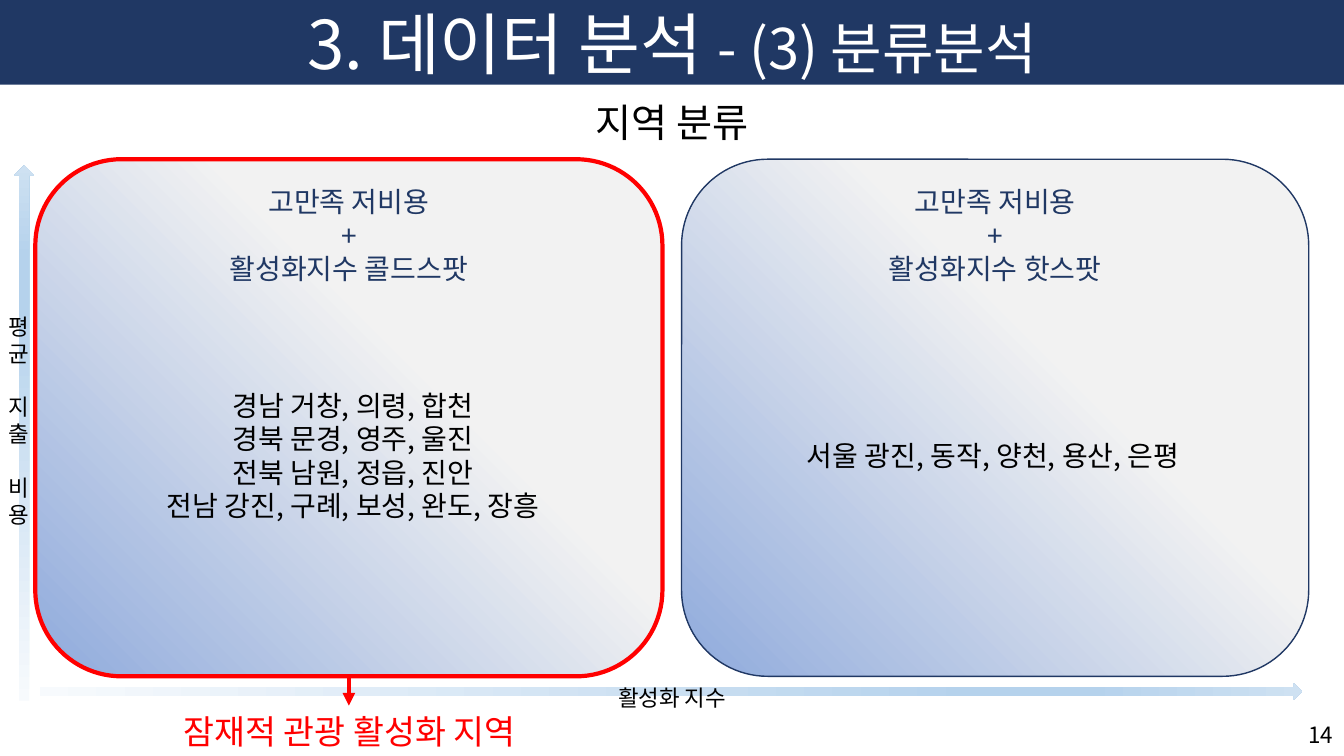
from lxml import etree
from pptx import Presentation
from pptx.dml.color import RGBColor
from pptx.enum.shapes import MSO_CONNECTOR, MSO_SHAPE
from pptx.enum.text import MSO_ANCHOR, MSO_AUTO_SIZE, PP_ALIGN
from pptx.oxml.ns import qn
from pptx.util import Inches, Pt

FONT = "Noto Sans CJK KR"
NAVY = RGBColor(0x20, 0x38, 0x64)
WHITE = RGBColor(0xFF, 0xFF, 0xFF)
BLACK = RGBColor(0, 0, 0)
RED = RGBColor(0xFF, 0, 0)
BLUE = RGBColor(0x8F, 0xAA, 0xDC)
GREY = RGBColor(0xF2, 0xF2, 0xF2)
PALE = RGBColor(0xF7, 0xFA, 0xFD)
SKY = RGBColor(0xB5, 0xD2, 0xEC)
MIST = RGBColor(0xCE, 0xE1, 0xF2)

RECTANGLE, ROUNDED = MSO_SHAPE.RECTANGLE, MSO_SHAPE.ROUNDED_RECTANGLE
UP_ARROW = MSO_SHAPE.UP_ARROW
STRAIGHT = MSO_CONNECTOR.STRAIGHT
CENTER, LEFT = PP_ALIGN.CENTER, PP_ALIGN.LEFT
TOP, MIDDLE = MSO_ANCHOR.TOP, MSO_ANCHOR.MIDDLE
FIT_SHAPE = MSO_AUTO_SIZE.SHAPE_TO_FIT_TEXT

AXIS_STOPS = [(0, PALE), (74, SKY), (83, SKY), (100, MIST)]
PANEL_STOPS = [(0, BLUE), (61, GREY)]
PANEL_TOP, PANEL_WIDTH, PANEL_HEIGHT = 1.58, 6.22, 5.13


def style_font(font, size, color):
    font.size = Pt(size)
    font.color.rgb = color
    font.name = FONT
    # East Asian glyphs take their typeface from a separate element
    etree.SubElement(font._element, qn("a:ea"), typeface=FONT)


def write_lines(frame, lines, size, color, align=CENTER):
    for index, line in enumerate(lines):
        para = frame.paragraphs[0] if index == 0 else frame.add_paragraph()
        para.text = line
        para.alignment = align
        style_font(para.font, size, color)


def add_text(page, place, lines, size, color=BLACK, align=CENTER, anchor=TOP, wrap=True):
    box = page.shapes.add_textbox(*map(Inches, place))
    frame = box.text_frame
    frame.word_wrap = wrap
    frame.auto_size = FIT_SHAPE
    frame.vertical_anchor = anchor
    write_lines(frame, lines, size, color, align)
    return box


def add_plain_shape(page, kind, place):
    shape = page.shapes.add_shape(kind, *map(Inches, place))
    shape.shadow.inherit = False
    shape.line.fill.background()
    return shape


def set_gradient(shape, stops):
    """Fill with the given stops and return the element for its direction."""
    shape.fill.gradient()
    gradient = shape._element.spPr.find(qn("a:gradFill"))
    for child in list(gradient):
        gradient.remove(child)
    gradient.set("rotWithShape", "1")
    stop_list = etree.SubElement(gradient, qn("a:gsLst"))
    for percent, color in stops:
        stop = etree.SubElement(stop_list, qn("a:gs"), pos=str(percent * 1000))
        etree.SubElement(stop, qn("a:srgbClr"), val=str(color))
    return gradient


def add_axis(page, place, rotation=0):
    arrow = add_plain_shape(page, UP_ARROW, place)
    arrow.rotation = rotation
    gradient = set_gradient(arrow, AXIS_STOPS)
    etree.SubElement(gradient, qn("a:lin"), ang=str(270 * 60000), scaled="0")


def add_panel(page, left, lines, line_color, line_width):
    panel = add_plain_shape(page, ROUNDED, (left, PANEL_TOP, PANEL_WIDTH, PANEL_HEIGHT))
    gradient = set_gradient(panel, PANEL_STOPS)
    circle = etree.SubElement(gradient, qn("a:path"), path="circle")
    etree.SubElement(circle, qn("a:fillToRect"), t="100000", r="100000")
    panel.line.color.rgb = line_color
    panel.line.width = Pt(line_width)
    frame = panel.text_frame
    frame.word_wrap = True
    frame.vertical_anchor = TOP
    frame.margin_top = 0
    write_lines(frame, lines, 20, NAVY)


def add_arrow(page, start, end, color, width):
    arrow = page.shapes.add_connector(STRAIGHT, *map(Inches, start + end))
    arrow.line.color.rgb = color
    arrow.line.width = Pt(width)
    etree.SubElement(arrow.line._get_or_add_ln(), qn("a:tailEnd"), type="triangle")
    etree.SubElement(arrow._element.spPr, qn("a:effectLst"))


def add_title(page):
    banner = add_plain_shape(page, RECTANGLE, (0, 0, 13.33, 0.84))
    banner.fill.solid()
    banner.fill.fore_color.rgb = NAVY
    title = add_text(page, (0, -0.03, 13.33, 0.91), [""], 48, WHITE)
    para = title.text_frame.paragraphs[0]
    for text, size in (("3. 데이터 분석 ", 48), ("- (3) 분류분석", 40)):
        span = para.add_run()
        span.text = text
        style_font(span.font, size, WHITE)


def main():
    deck = Presentation()
    deck.slide_width, deck.slide_height = Inches(13.33), Inches(7.5)
    page = deck.slides.add_slide(deck.slide_layouts[6])

    # Horizontal axis, heading and page number
    add_axis(page, (6.57, 0.6, 0.17, 12.52), rotation=90)
    add_title(page)
    add_text(page, (12.88, 7.11, 0.45, 0.37), ["14"], 16, align=LEFT, wrap=False)
    add_text(page, (0, 0.92, 13.33, 0.57), ["지역 분류"], 28, anchor=MIDDLE)

    # Two region classes
    add_panel(page, 0.35, ["고만족 저비용", "+", "활성화지수 콜드스팟"], RED, 3)
    add_panel(page, 6.76, ["고만족 저비용", "+", "활성화지수 핫스팟"], NAVY, 1)

    # Callout below the cold-spot class
    add_text(page, (-0.08, 7, 7.09, 0.5), ["잠재적 관광 활성화 지역"], 24, RED)
    add_arrow(page, (3.46, 6.71), (3.46, 7), RED, 3)

    # Vertical axis and axis labels
    add_axis(page, (0.14, 1.64, 0.2, 5.31))
    cost = add_text(page, (-0.72, 3.97, 1.82, 0.4), ["평균 지출 비용"], 16, anchor=MIDDLE)
    cost.rotation = 270
    cost.text_frame._txBody.bodyPr.set("vert", "vert")
    add_text(page, (5.89, 6.74, 1.55, 0.37), ["활성화 지수"], 16)

    # Regions in each class
    cold_spots = [
        "경남 거창, 의령, 합천",
        "경북 문경, 영주, 울진",
        "전북 남원, 정읍, 진안",
        "전남 강진, 구례, 보성, 완도, 장흥",
    ]
    add_text(page, (0.41, 3.8, 6.18, 1.45), cold_spots, 20)
    add_text(page, (6.76, 4.3, 6.18, 0.44), ["서울 광진, 동작, 양천, 용산, 은평"], 20)

    deck.save("out.pptx")


if __name__ == "__main__":
    main()
